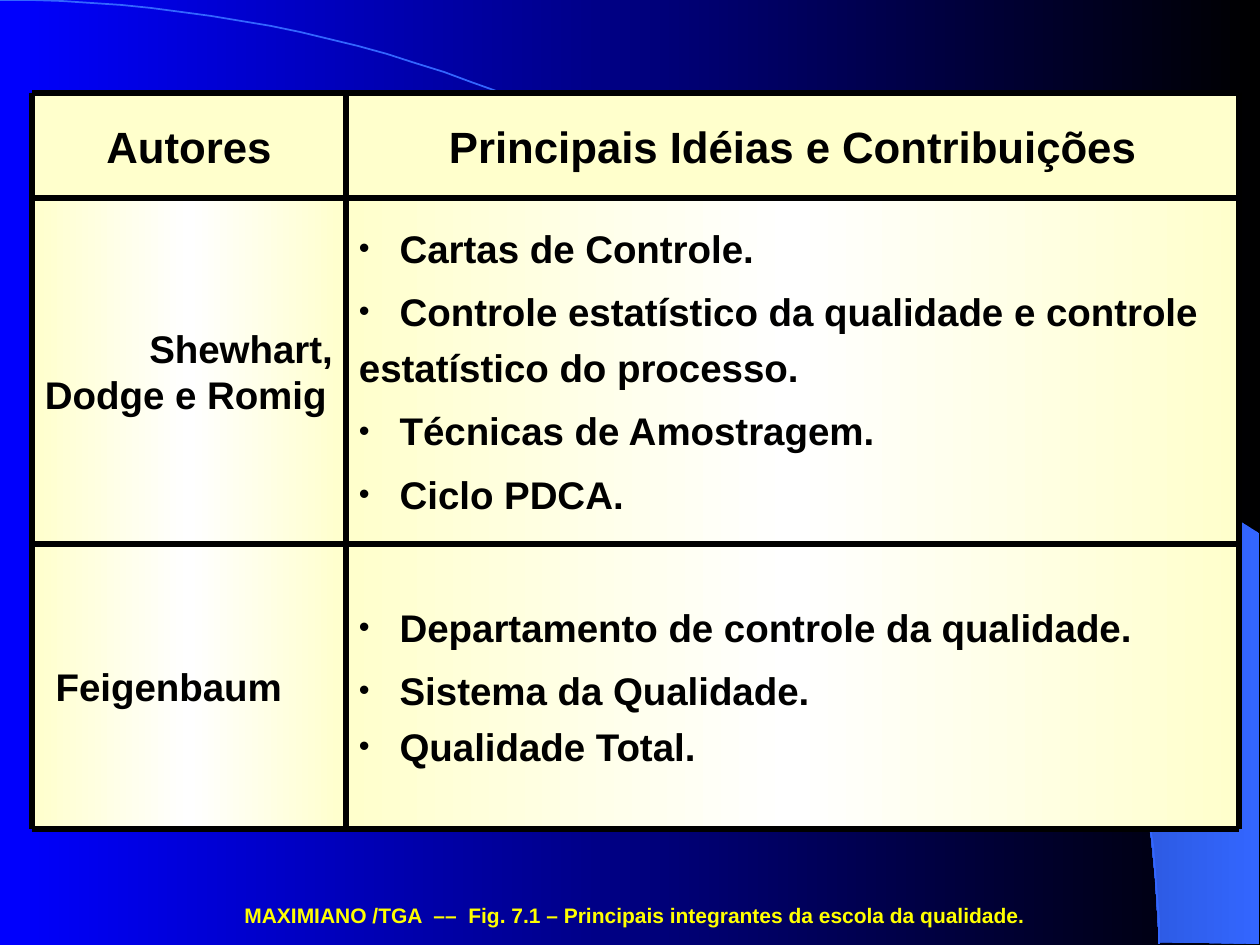
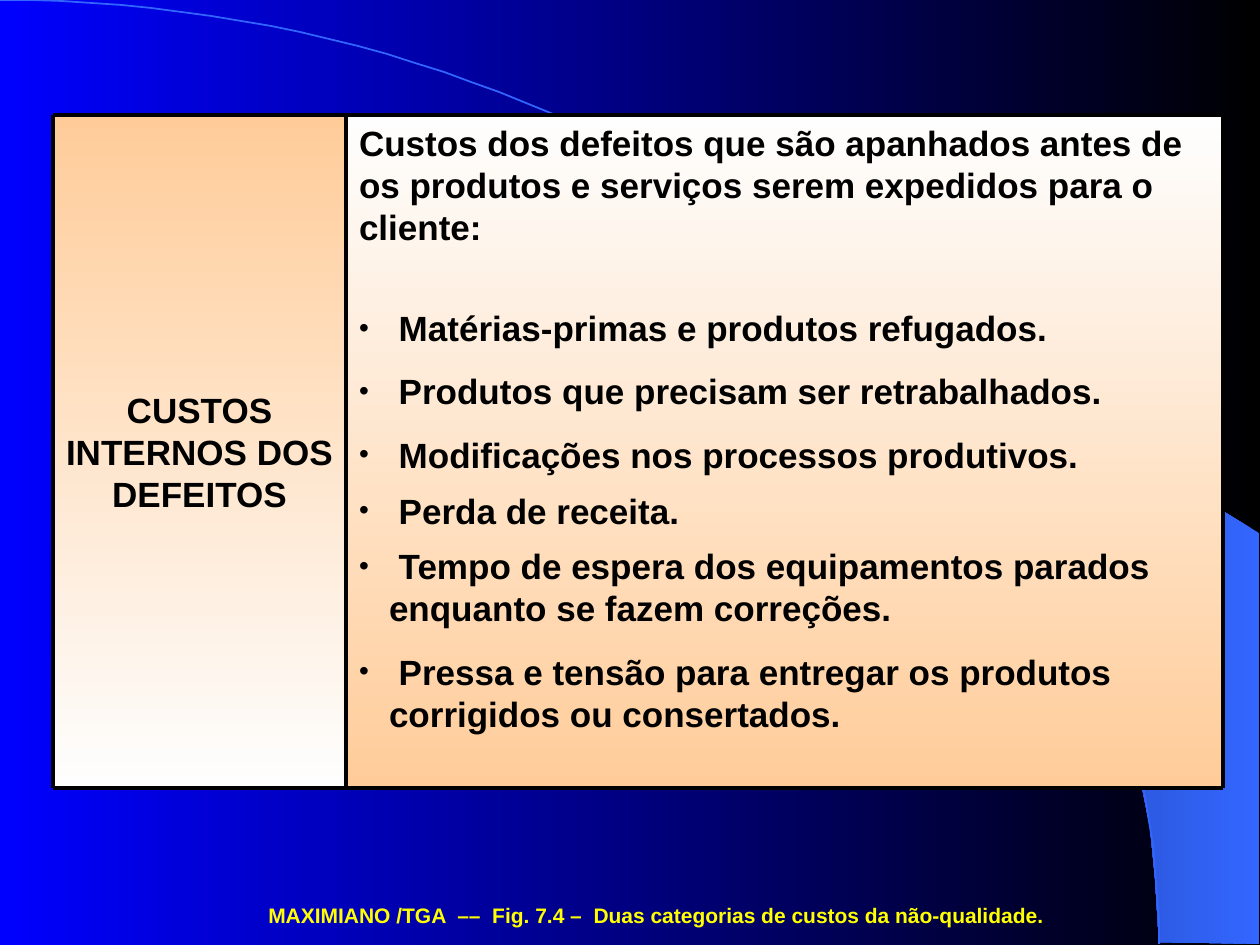
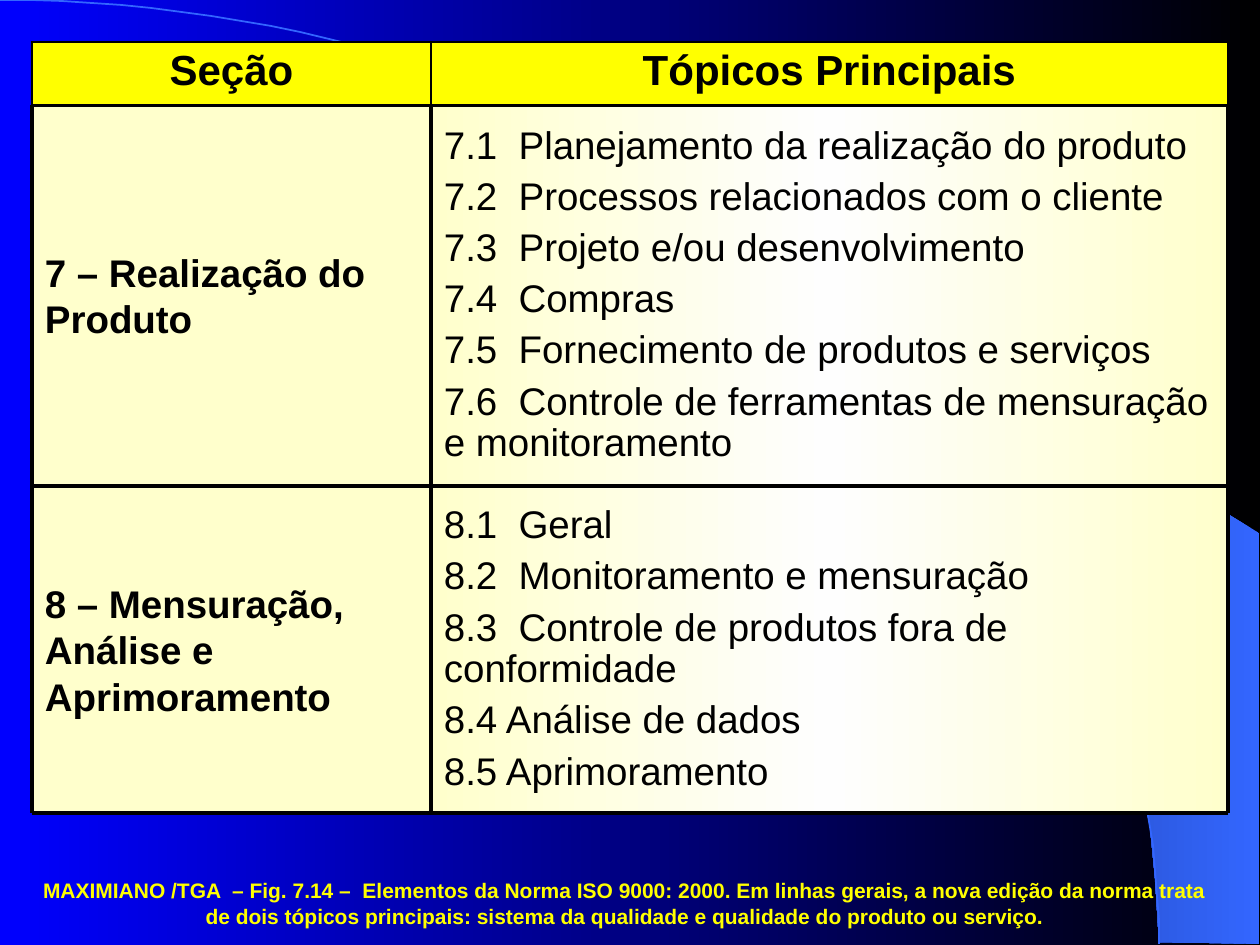
from math import cos, pi, sin

from lxml.etree import SubElement
from pptx import Presentation
from pptx.dml.color import RGBColor
from pptx.enum.shapes import MSO_CONNECTOR, MSO_SHAPE
from pptx.enum.text import MSO_ANCHOR, PP_ALIGN
from pptx.oxml.ns import qn
from pptx.util import Emu, Pt

# Shared look
EMU_PER_PX = 914400 / 126
FONT = "Arial"
COLOURS = {
    "black": "000000", "night": "0000FF", "arc": "3366FF", "wedge": "172F75",
    "cream": "FFFFCC", "white": "FFFFFF", "paper": "FEFEFE",
    "peach": "FFCC99", "yellow": "FFFF00",
}
# Each fill: colour names, then the gradient angle (clockwise)
FILLS = {
    "backdrop": (["black", "night"], 180),
    "wedge": (["arc", "wedge"], 180),
    "cream": (["cream"], 0),
    "yellow": (["yellow"], 0),
    "sheen": (["cream", "white", "cream"], 180),
    "soft sheen": (["cream", "paper", "cream"], 180),
    "peach down": (["paper", "peach"], 90),
    "peach up": (["peach", "paper"], 90),
}
# Each text style: size, bold, alignment, anchor, line spacing
STYLES = {
    "heading": (25, True, PP_ALIGN.CENTER, MSO_ANCHOR.MIDDLE, None),
    "author": (22, True, PP_ALIGN.JUSTIFY, MSO_ANCHOR.MIDDLE, None),
    "idea": (22, True, PP_ALIGN.LEFT, MSO_ANCHOR.MIDDLE, None),
    "cost type": (20, True, PP_ALIGN.CENTER, MSO_ANCHOR.MIDDLE, None),
    "cost": (20, True, PP_ALIGN.LEFT, MSO_ANCHOR.TOP, None),
    "topic": (22, False, PP_ALIGN.LEFT, MSO_ANCHOR.MIDDLE, 0.9),
    "column": (24, True, PP_ALIGN.CENTER, MSO_ANCHOR.TOP, None),
    "caption": (12, True, PP_ALIGN.CENTER, MSO_ANCHOR.TOP, None),
}
HANGING = 30
INSET = (13, 6)
ARC_SIZE = (1159, 944)
ARC_STEPS = 60
WEDGE = [
    (1159, 942), (1259, 944), (1259, 533), (742, 218), (786, 251), (823, 280),
    (863, 315), (902, 353), (960, 416), (1012, 484), (1048, 543), (1081, 604),
    (1106, 665), (1125, 721), (1138, 767), (1150, 827), (1155, 877),
]

# Content: paragraphs are (bullet, space before, text); cells are (style, fill, paragraphs)
SLIDES = [
    {
        "columns": [32, 346, 1239], "rows": [93, 198, 544, 829], "rule": 3,
        "cells": [
            [("heading", "cream", [("", 0, "Autores")]),
             ("heading", "cream", [("", 0, "Principais Idéias e Contribuições")])],
            [("author", "sheen", [("", 0, " Shewhart, Dodge e Romig")]),
             ("idea", "sheen", [
                 ("•", 0, " Cartas de Controle."),
                 ("•", 9.8, " Controle estatístico da qualidade e controle"),
                 ("", 5.5, "estatístico do processo."),
                 ("•", 9.8, " Técnicas de Amostragem."),
                 ("•", 9.8, " Ciclo PDCA.")])],
            [("author", "sheen", [("", 0, " Feigenbaum")]),
             ("idea", "sheen", [
                 ("•", 0, " Departamento de controle da qualidade."),
                 ("•", 9.8, " Sistema da Qualidade."),
                 ("•", 5.5, " Qualidade Total.")])],
        ],
        "caption": ((231, 897, 808, 38),
                    "MAXIMIANO /TGA  ––  Fig. 7.1 – Principais integrantes da escola da qualidade."),
    },
    {
        "columns": [53, 346, 1223], "rows": [115, 788], "rule": 2.25,
        "cells": [
            [("cost type", "peach up", [("", 0, "CUSTOS INTERNOS DOS DEFEITOS")]),
             ("cost", "peach down", [
                 ("", 0, "Custos dos defeitos que são apanhados antes de os produtos "
                         "e serviços serem expedidos para o cliente:"),
                 ("•", 34, " Matérias-primas e produtos refugados."),
                 ("•", 12.2, " Produtos que precisam ser retrabalhados."),
                 ("•", 12.2, " Modificações nos processos produtivos."),
                 ("•", 7.9, " Perda de receita."),
                 ("•", 7.9, " Tempo de espera dos equipamentos parados "
                            "enquanto se fazem correções."),
                 ("•", 12.2, " Pressa e tensão para entregar os produtos "
                             "corrigidos ou consertados.")])],
        ],
        "caption": ((252, 897, 809, 38),
                    "MAXIMIANO /TGA  ––  Fig. 7.4 –  Duas categorias de custos da não-qualidade."),
    },
    {
        "columns": [32, 431, 1228], "rows": [105, 486, 813], "rule": 2.25,
        "cells": [
            [("idea", "cream", [("", 0, "7 – Realização do Produto")]),
             ("topic", "soft sheen", [
                 ("", 0, "7.1  Planejamento da realização do produto"),
                 ("", 5.5, "7.2  Processos relacionados com o cliente"),
                 ("", 5.5, "7.3  Projeto e/ou desenvolvimento"),
                 ("", 5.5, "7.4  Compras"),
                 ("", 5.5, "7.5  Fornecimento de produtos e serviços"),
                 ("", 5.5, "7.6  Controle de ferramentas de mensuração e monitoramento")])],
            [("idea", "cream", [("", 0, "8 – Mensuração, Análise e Aprimoramento")]),
             ("topic", "soft sheen", [
                 ("", 0, "8.1  Geral"),
                 ("", 5.5, "8.2  Monitoramento e mensuração"),
                 ("", 5.5, "8.3  Controle de produtos fora de conformidade"),
                 ("", 5.5, "8.4 Análise de dados"),
                 ("", 5.5, "8.5 Aprimoramento")])],
        ],
        "caption": ((42, 872, 1166, 63),
                    "MAXIMIANO /TGA  – Fig. 7.14 –  Elementos da Norma ISO 9000: 2000. "
                    "Em linhas gerais, a nova edição da norma trata de dois tópicos principais: "
                    "sistema da qualidade e qualidade do produto ou serviço."),
        "header": (63, ["Seção", "Tópicos Principais"]),
    },
]


def px(length):
    return Emu(round(length * EMU_PER_PX))


def rgb(name):
    return RGBColor.from_string(COLOURS[name])


def add_colour(parent, name):
    SubElement(parent, qn("a:srgbClr"), val=COLOURS[name])


def paint(fill, element, look):
    names, angle = FILLS[look]
    if len(names) == 1:
        fill.solid()
        fill.fore_color.rgb = rgb(names[0])
        return
    fill.gradient()
    fill.gradient_angle = -angle % 360
    stops = next(element.iter(qn("a:gsLst")))
    for stop in list(stops):
        stops.remove(stop)
    for i, name in enumerate(names):
        position = str(100000 * i // (len(names) - 1))
        add_colour(SubElement(stops, qn("a:gs"), pos=position), name)


def add_bullet(paragraph, mark):
    props = paragraph._p.get_or_add_pPr()
    props.set("marL", str(px(HANGING)))
    props.set("indent", str(-px(HANGING)))
    add_colour(SubElement(props, qn("a:buClr")), "black")
    SubElement(props, qn("a:buSzPct"), val="80000")
    SubElement(props, qn("a:buFont"), typeface=FONT)
    SubElement(props, qn("a:buChar"), char=mark)


def write(frame, style, paragraphs, colour="black"):
    size, bold, align, _, spacing = STYLES[style]
    for i, (mark, gap, text) in enumerate(paragraphs):
        paragraph = frame.add_paragraph() if i else frame.paragraphs[0]
        paragraph.text = text
        paragraph.alignment = align
        if spacing:
            paragraph.line_spacing = spacing
        if gap:
            paragraph.space_before = Pt(gap)
        if mark:
            add_bullet(paragraph, mark)
        font = paragraph.font
        font.name, font.size, font.bold = FONT, Pt(size), bold
        font.color.rgb = rgb(colour)


def set_box(frame, style, side=INSET[0]):
    frame.word_wrap = True
    frame.vertical_anchor = STYLES[style][3]
    frame.margin_left = frame.margin_right = px(side)
    frame.margin_top = frame.margin_bottom = px(INSET[1])


def add_cell(slide, left, top, right, bottom, cell):
    style, look, paragraphs = cell
    panel = slide.shapes.add_shape(MSO_SHAPE.RECTANGLE, px(left), px(top),
                                   px(right - left), px(bottom - top))
    panel.shadow.inherit = False
    panel.line.fill.background()
    paint(panel.fill, panel.element, look)
    set_box(panel.text_frame, style)
    write(panel.text_frame, style, paragraphs)


def add_rule(slide, x1, y1, x2, y2, width):
    rule = slide.shapes.add_connector(MSO_CONNECTOR.STRAIGHT, px(x1), px(y1), px(x2), px(y2))
    rule.line.color.rgb = rgb("black")
    rule.line.width = Pt(width)
    SubElement(rule.element.spPr, qn("a:effectLst"))


def add_grid(slide, content):
    xs, ys, width = content["columns"], content["rows"], content["rule"]
    for top, bottom, row in zip(ys, ys[1:], content["cells"]):
        for left, right, cell in zip(xs, xs[1:], row):
            add_cell(slide, left, top, right, bottom, cell)
    for y in ys:
        add_rule(slide, xs[0], y, xs[-1], y, width)
    for x in xs:
        add_rule(slide, x, ys[0], x, ys[-1], width)


def add_caption(slide, content):
    place, text = content["caption"]
    caption = slide.shapes.add_textbox(*map(px, place))
    set_box(caption.text_frame, "caption", side=0)
    write(caption.text_frame, "caption", [("", 0, text)], "yellow")


def add_header(slide, content):
    height, titles = content["header"]
    xs, bottom = content["columns"], content["rows"][0]
    table = slide.shapes.add_table(1, len(titles), px(xs[0]), px(bottom - height),
                                   px(xs[-1] - xs[0]), px(height)).table
    for i, title in enumerate(titles):
        table.columns[i].width = px(xs[i + 1] - xs[i])
        cell = table.cell(0, i)
        cell.margin_left = cell.margin_right = px(INSET[0])
        cell.margin_top = cell.margin_bottom = px(INSET[1])
        props = cell._tc.get_or_add_tcPr()
        for edge in ("lnL", "lnR", "lnT", "lnB"):
            border = SubElement(props, qn("a:" + edge), w=str(Pt(1.08)))
            add_colour(SubElement(border, qn("a:solidFill")), "black")
        paint(cell.fill, cell._tc, "yellow")
        write(cell.text_frame, "column", [("", 0, title)])


def add_outline(slide, points, close):
    builder = slide.shapes.build_freeform(*points[0], scale=EMU_PER_PX)
    builder.add_line_segments(points[1:], close=close)
    outline = builder.convert_to_shape()
    outline.shadow.inherit = False
    return outline


def decorate_master(master, slide):
    """Backdrop, wedge and arc, drawn once and shared by every slide."""
    paint(master.background.fill, master.element, "backdrop")
    wedge = add_outline(slide, WEDGE, True)
    paint(wedge.fill, wedge.element, "wedge")
    wedge.line.fill.background()
    width, height = ARC_SIZE
    angles = [pi / 2 * i / ARC_STEPS for i in range(ARC_STEPS + 1)]
    arc = add_outline(slide, [(width * sin(a), height * (1 - cos(a))) for a in angles], False)
    arc.fill.background()
    arc.line.color.rgb = rgb("arc")
    arc.line.width = Pt(1)
    for i, part in enumerate((wedge, arc)):
        master.shapes.element.insert(2 + i, part.element)


def main():
    deck = Presentation()
    deck.slide_width, deck.slide_height = px(1260), px(945)
    blank = deck.slide_layouts[6]
    for i, content in enumerate(SLIDES):
        slide = deck.slides.add_slide(blank)
        if i == 0:
            decorate_master(deck.slide_master, slide)
        add_grid(slide, content)
        add_caption(slide, content)
        if "header" in content:
            add_header(slide, content)
    deck.save("out.pptx")


if __name__ == "__main__":
    main()
